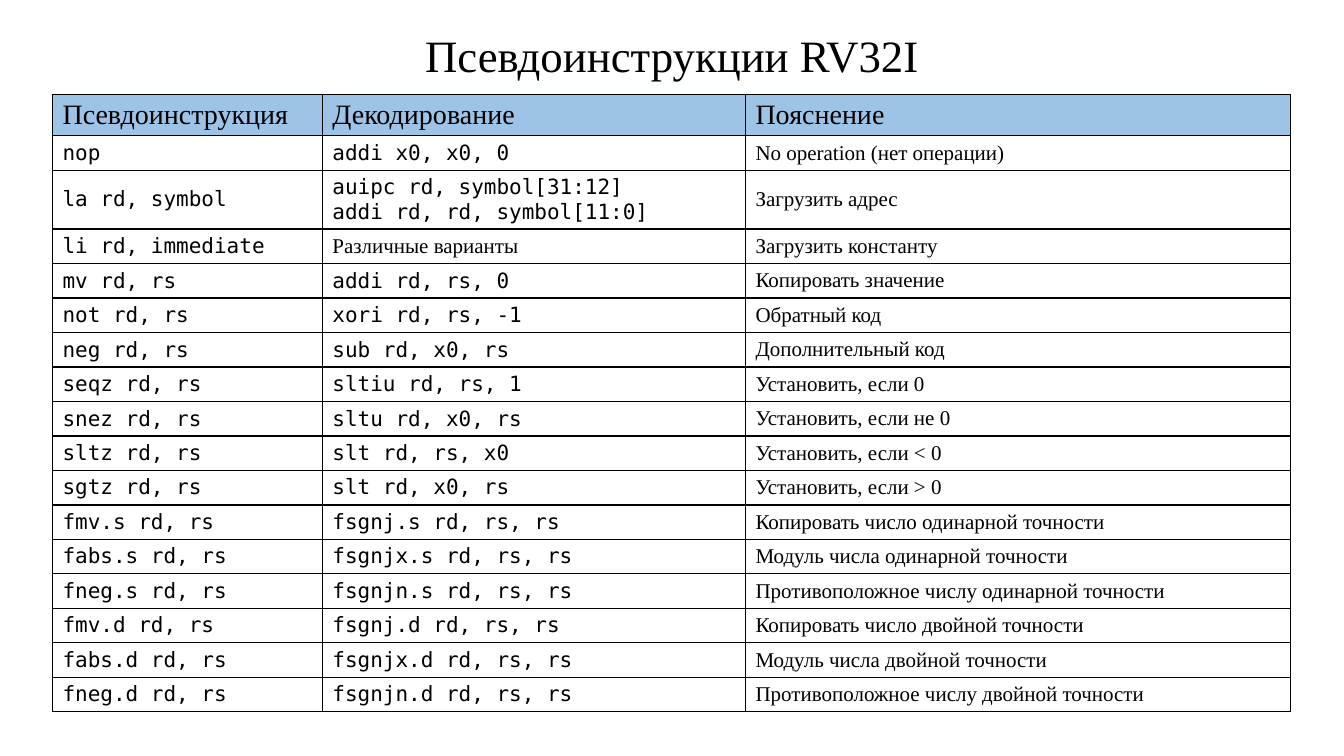
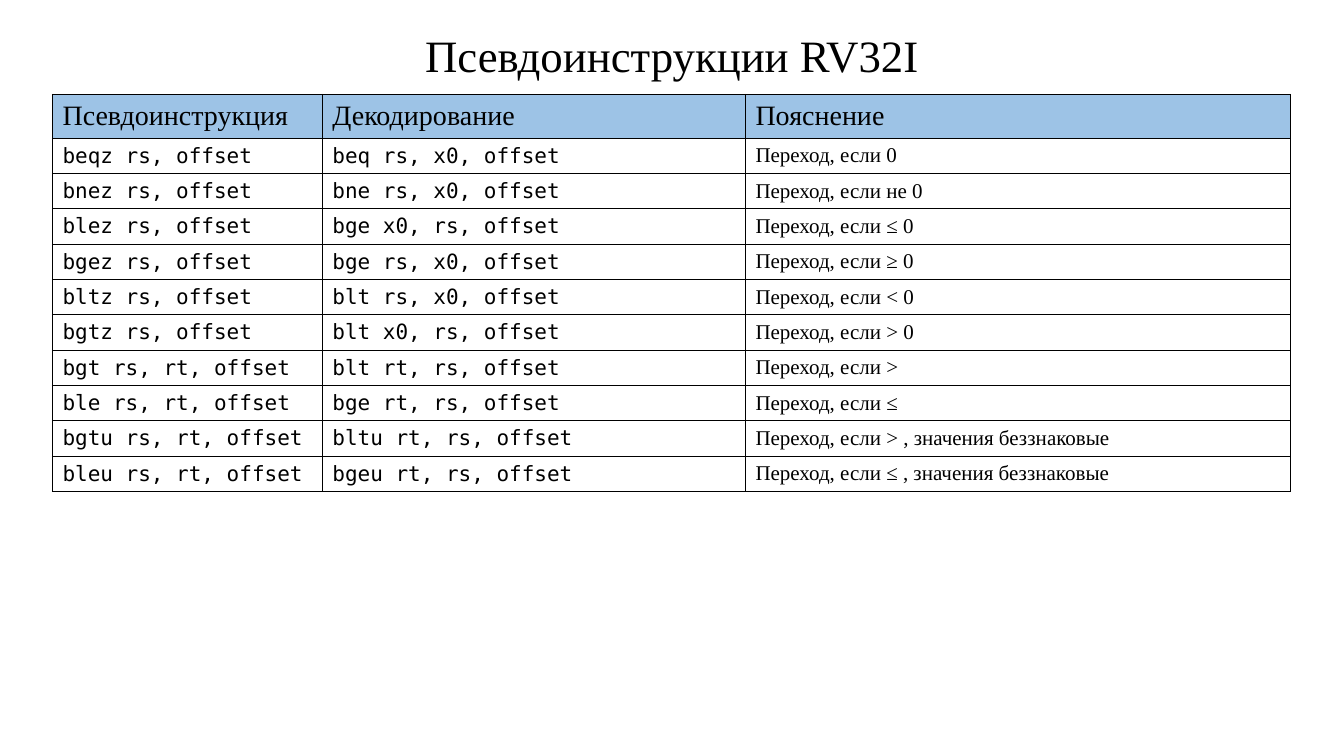
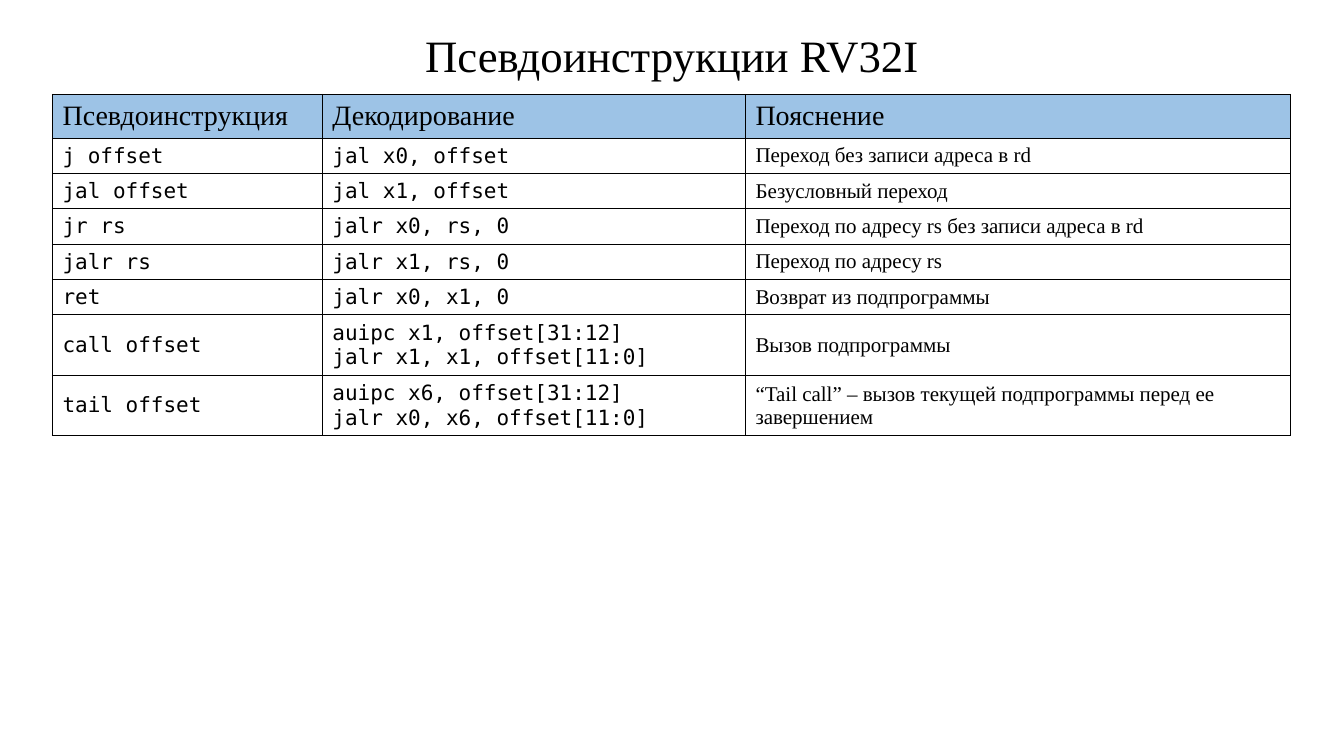
from lxml.etree import SubElement
from pptx import Presentation
from pptx.dml.color import RGBColor
from pptx.enum.text import MSO_ANCHOR as Anchor, PP_ALIGN as Align
from pptx.oxml.ns import qn
from pptx.util import Emu, Pt

PX = 9525  # EMU per px, 96 px to the inch
COLORS = {"ink": "000000", "header": "9DC3E6", "page": "FFFFFF"}
TEXT_FONT, CODE_FONT = "Times New Roman", "DejaVu Sans Mono"

TITLE = "Псевдоинструкции RV32I"
HEADINGS = ("Псевдоинструкция", "Декодирование", "Пояснение")
COLUMN_WIDTHS = (257, 403, 519)
TABLE_LEFT, TABLE_TOP = 50, 90
HEADER_HEIGHT, ROW_HEIGHT = 38, 30
VARIOUS = "Различные варианты"  # the only decoding written in prose

# Content: one list of rows per slide
basic_operations = [
    ("nop", "addi x0, x0, 0", "No operation (нет операции)"),
    ("la rd, symbol", "auipc rd, symbol[31:12]\naddi rd, rd, symbol[11:0]", "Загрузить адрес"),
    ("li rd, immediate", VARIOUS, "Загрузить константу"),
    ("mv rd, rs", "addi rd, rs, 0", "Копировать значение"),
    ("not rd, rs", "xori rd, rs, -1", "Обратный код"),
    ("neg rd, rs", "sub rd, x0, rs", "Дополнительный код"),
    ("seqz rd, rs", "sltiu rd, rs, 1", "Установить, если 0"),
    ("snez rd, rs", "sltu rd, x0, rs", "Установить, если не 0"),
    ("sltz rd, rs", "slt rd, rs, x0", "Установить, если < 0"),
    ("sgtz rd, rs", "slt rd, x0, rs", "Установить, если > 0"),
]
for suffix, precision in (("s", "одинарной"), ("d", "двойной")):
    for name, decoded, meaning in (
        ("fmv", "fsgnj", "Копировать число"),
        ("fabs", "fsgnjx", "Модуль числа"),
        ("fneg", "fsgnjn", "Противоположное числу"),
    ):
        basic_operations.append((f"{name}.{suffix} rd, rs", f"{decoded}.{suffix} rd, rs, rs",
                                 f"{meaning} {precision} точности"))

branches = [
    ("beqz rs, offset", "beq rs, x0, offset", "Переход, если 0"),
    ("bnez rs, offset", "bne rs, x0, offset", "Переход, если не 0"),
    ("blez rs, offset", "bge x0, rs, offset", "Переход, если ≤ 0"),
    ("bgez rs, offset", "bge rs, x0, offset", "Переход, если ≥ 0"),
    ("bltz rs, offset", "blt rs, x0, offset", "Переход, если < 0"),
    ("bgtz rs, offset", "blt x0, rs, offset", "Переход, если > 0"),
    ("bgt rs, rt, offset", "blt rt, rs, offset", "Переход, если >"),
    ("ble rs, rt, offset", "bge rt, rs, offset", "Переход, если ≤"),
    ("bgtu rs, rt, offset", "bltu rt, rs, offset", "Переход, если > , значения беззнаковые"),
    ("bleu rs, rt, offset", "bgeu rt, rs, offset", "Переход, если ≤ , значения беззнаковые"),
]

jumps = [
    ("j offset", "jal x0, offset", "Переход без записи адреса в rd"),
    ("jal offset", "jal x1, offset", "Безусловный переход"),
    ("jr rs", "jalr x0, rs, 0", "Переход по адресу rs без записи адреса в rd"),
    ("jalr rs", "jalr x1, rs, 0", "Переход по адресу rs"),
    ("ret", "jalr x0, x1, 0", "Возврат из подпрограммы"),
    ("call offset", "auipc x1, offset[31:12]\njalr x1, x1, offset[11:0]", "Вызов подпрограммы"),
    ("tail offset", "auipc x6, offset[31:12]\njalr x0, x6, offset[11:0]",
     "“Tail call” – вызов текущей подпрограммы перед ее завершением"),
]


def add_run(paragraph, text, size, font):
    run = paragraph.add_run()
    run.text = text
    run.font.size = Pt(size)
    run.font.name = font
    run.font.bold = False
    run.font.color.rgb = RGBColor.from_string(COLORS["ink"])


def fill_cell(cell, text, size, font, color):
    cell.vertical_anchor = Anchor.MIDDLE
    for number, line in enumerate(text.split("\n")):
        frame = cell.text_frame
        paragraph = frame.add_paragraph() if number else frame.paragraphs[0]
        add_run(paragraph, line, size, font)
    # Borders come before the fill in the cell properties
    properties = cell._tc.get_or_add_tcPr()
    for side in ("lnL", "lnR", "lnT", "lnB"):
        border = SubElement(properties, qn(f"a:{side}"), w=str(Pt(1)))
        solid = SubElement(border, qn("a:solidFill"))
        SubElement(solid, qn("a:srgbClr"), val=COLORS["ink"])
    cell.fill.solid()
    cell.fill.fore_color.rgb = RGBColor.from_string(color)


deck = Presentation()
deck.slide_width, deck.slide_height = Emu(1280 * PX), Emu(720 * PX)

for instructions in (basic_operations, branches, jumps):
    slide = deck.slides.add_slide(deck.slide_layouts[6])

    # Instruction table
    height = HEADER_HEIGHT + ROW_HEIGHT * len(instructions)
    table = slide.shapes.add_table(
        len(instructions) + 1, len(HEADINGS), TABLE_LEFT * PX, TABLE_TOP * PX,
        sum(COLUMN_WIDTHS) * PX, height * PX).table
    table.horz_banding = False
    for column, width in zip(table.columns, COLUMN_WIDTHS):
        column.width = Emu(width * PX)
    for row_number, texts in enumerate([HEADINGS] + instructions):
        is_header = row_number == 0
        table.rows[row_number].height = Emu((HEADER_HEIGHT if is_header else ROW_HEIGHT) * PX)
        for column_number, text in enumerate(texts):
            is_prose = is_header or column_number == 2 or text == VARIOUS
            fill_cell(table.cell(row_number, column_number), text, 20 if is_header else 15,
                      TEXT_FONT if is_prose else CODE_FONT,
                      COLORS["header" if is_header else "page"])

    # Title
    title = slide.shapes.add_textbox(0, 32 * PX, 1280 * PX, 50 * PX).text_frame
    title.word_wrap = True
    title.vertical_anchor = Anchor.MIDDLE
    heading = title.paragraphs[0]
    heading.alignment = Align.CENTER
    heading.line_spacing = 0.8
    add_run(heading, TITLE, 32, TEXT_FONT)

deck.save("out.pptx")
